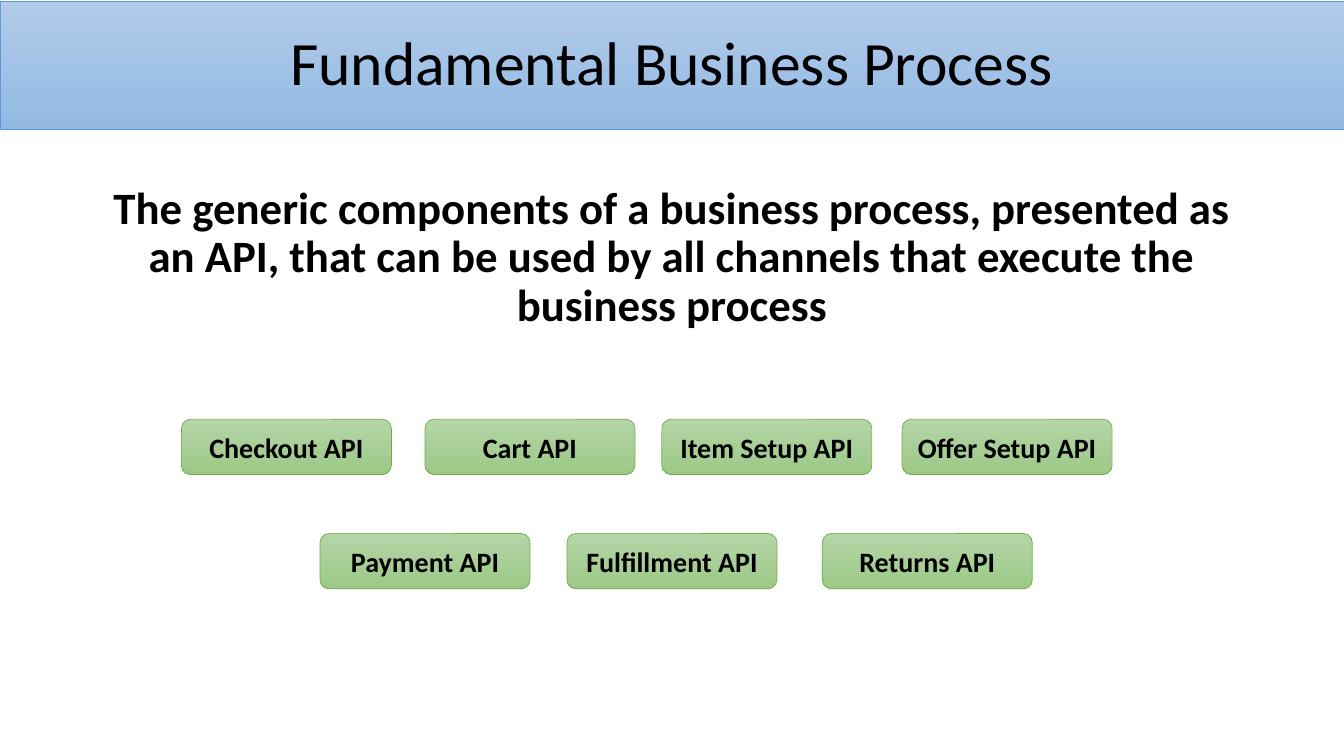
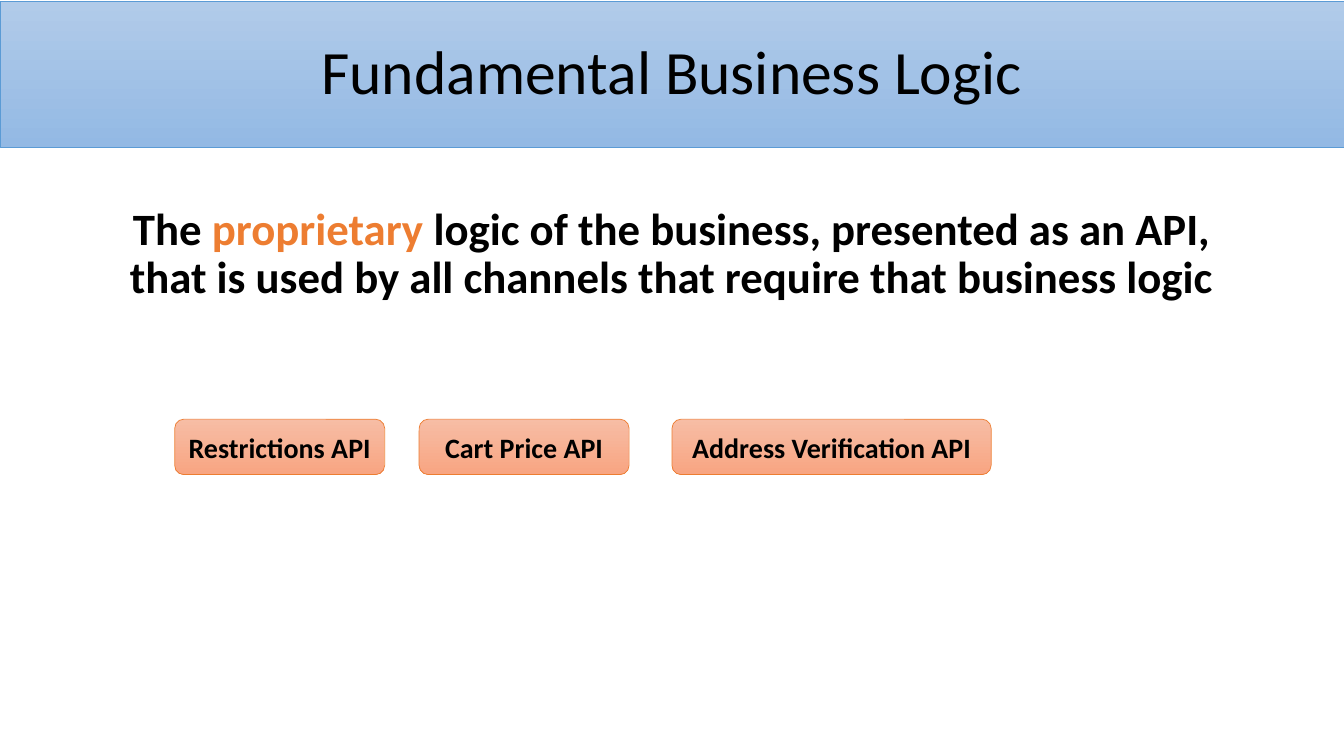
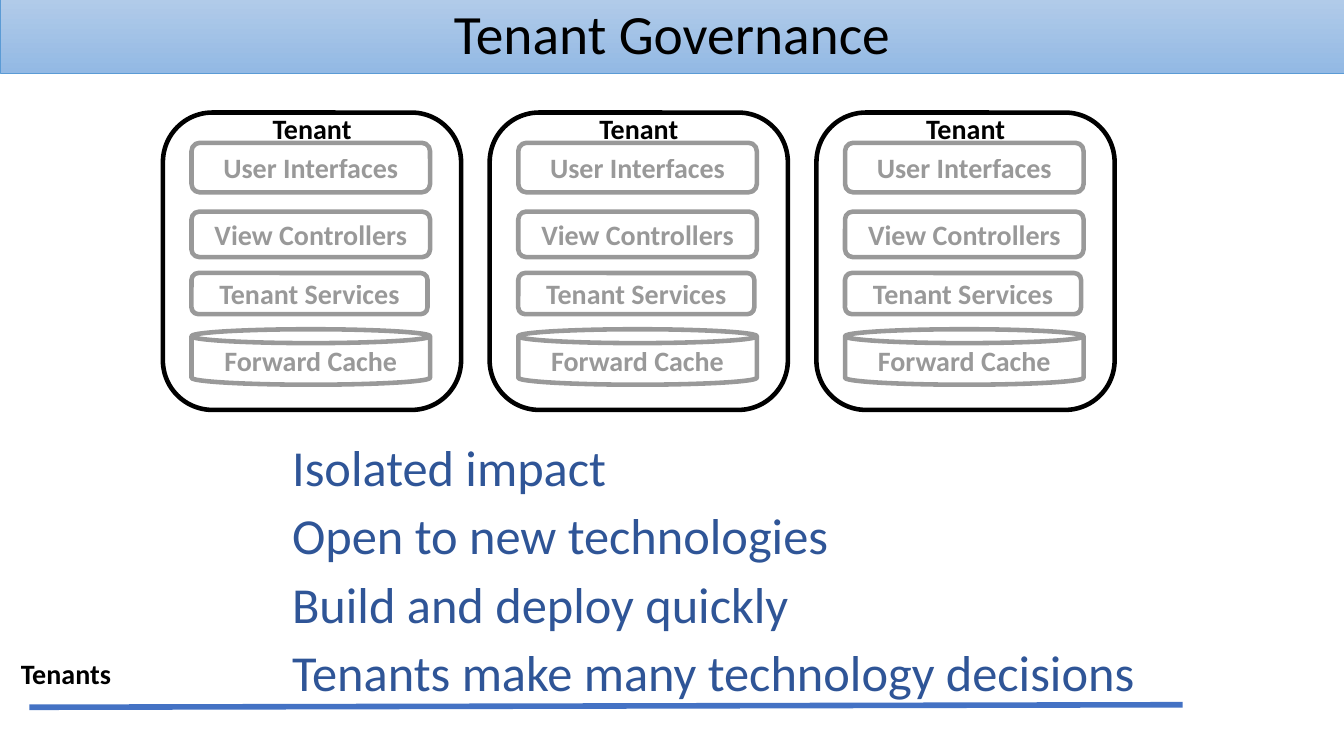
from dataclasses import dataclass

from lxml import etree
from pptx import Presentation
from pptx.dml.color import RGBColor
from pptx.enum.shapes import MSO_CONNECTOR as Connector, MSO_SHAPE as Shape
from pptx.enum.text import MSO_ANCHOR as Anchor, PP_ALIGN as Align
from pptx.oxml.ns import qn
from pptx.util import Emu, Pt


@dataclass(frozen=True)
class Theme:
    font: str = "Calibri"
    black: str = "000000"
    orange: str = "ED7D31"
    rule: str = "4472C4"
    point: str = "2F5597"
    # Top of gradient, bottom of gradient, outline
    blue_box: tuple = ("B1CBE9", "93B9E4", "5B9BD5")
    green_box: tuple = ("B5D5A7", "9CC987", "70AD47")
    orange_box: tuple = ("F7BDA5", "F8A582", "ED7D31")
    title_size: float = 44
    small_title_size: float = 39.6
    point_size: float = 36
    description_size: float = 32
    label_size: float = 20
    thin: float = 0.5
    thick: float = 3.25
    rule_width: float = 4
    faded: int = 40


theme = Theme()

# Grid of square cells
COLUMNS, ROWS = 160, 90
CELL = 76200

presentation = Presentation()
presentation.slide_width = Emu(COLUMNS * CELL)
presentation.slide_height = Emu(ROWS * CELL)
blank_layout = presentation.slide_layouts[6]


def add_box(slide, kind, column, row, columns, rows, colors=None):
    """Add a preset shape, or a text box if kind is None; colors make a gradient."""
    place = [Emu(round(cells * CELL)) for cells in (column, row, columns, rows)]
    if kind is None:
        return slide.shapes.add_textbox(*place)
    shape = slide.shapes.add_shape(kind, *place)
    shape.shadow.inherit = False
    if colors:
        shape.fill.gradient()
        shape.fill.gradient_angle = 270
        for stop, color in zip(shape.fill.gradient_stops, colors):
            stop.color.rgb = RGBColor.from_string(color)
    else:
        shape.fill.background()
    outline = colors[2] if colors else theme.black
    shape.line.color.rgb = RGBColor.from_string(outline)
    shape.line.width = Pt(theme.thin if colors else theme.thick)
    return shape


def write(shape, lines, size, color=theme.black, bold=True, align=Align.CENTER,
          anchor=Anchor.MIDDLE, spacing=1.0, gap=0):
    """Write lines, each a list of text segments, into a shape."""
    frame = shape.text_frame
    frame.word_wrap = True
    frame.vertical_anchor = anchor
    for index, segments in enumerate(lines):
        paragraph = frame.add_paragraph() if index else frame.paragraphs[0]
        paragraph.alignment = align
        paragraph.line_spacing = spacing
        paragraph.space_before = Pt(gap if index else 0)
        for segment in segments:
            run = paragraph.add_run()
            run.text = segment
            run.font.name = theme.font
            run.font.size = Pt(size)
            run.font.bold = bold
            run.font.color.rgb = RGBColor.from_string(color)


# Slides with their title bands: title, size, top row, rows
bands = [
    ("Fundamental Business Process", theme.title_size, 0.2, 15.2),
    ("Fundamental Business Logic", theme.title_size, 0.2, 17.4),
    ("Tenant Governance", theme.small_title_size, -0.1, 8.8),
]
slides = []
for title, size, row, rows in bands:
    slide = presentation.slides.add_slide(blank_layout)
    band = add_box(slide, Shape.RECTANGLE, 0, row, COLUMNS, rows, theme.blue_box)
    write(band, [[title]], size, bold=False, spacing=0.9)
    slides.append(slide)
process_slide, logic_slide, tenant_slide = slides

# Descriptions: slide, top row, rows, segments with every second one accented
descriptions = [
    (process_slide, 21.5, 19, [
        "The generic components of a business process, presented as an API, "
        "that can be used by all channels that execute the business process"]),
    (logic_slide, 24, 13.8, [
        "The ", "proprietary",
        " logic of the business, presented as an API, "
        "that is used by all channels that require that business logic"]),
]
for slide, row, rows, segments in descriptions:
    description = add_box(slide, None, 11, row, COLUMNS - 2 * 11, rows)
    write(description, [segments], theme.description_size, anchor=Anchor.TOP, spacing=0.9)
    for run in description.text_frame.paragraphs[0].runs[1::2]:
        run.font.color.rgb = RGBColor.from_string(theme.orange)

# API boxes: slide, colors, row, then column, columns and label of each
api_rows = [
    (process_slide, theme.green_box, 49.9, [
        (21.6, 25, "Checkout API"), (50.6, 25, "Cart API"),
        (78.8, 25, "Item Setup API"), (107.4, 25, "Offer Setup API")]),
    (process_slide, theme.green_box, 63.5, [
        (38.1, 25, "Payment API"), (67.5, 25, "Fulfillment API"),
        (97.9, 25, "Returns API")]),
    (logic_slide, theme.orange_box, 49.9, [
        (20.8, 25, "Restrictions API"), (49.9, 25, "Cart Price API"),
        (80, 38, "Address Verification API")]),
]
for slide, colors, row, boxes in api_rows:
    for column, columns, label in boxes:
        api_box = add_box(slide, Shape.ROUNDED_RECTANGLE, column, row, columns, 6.6, colors)
        api_box.text_frame.margin_left = api_box.text_frame.margin_right = Pt(4)
        write(api_box, [[label]], theme.label_size)

# Tenants, each a frame with faded parts: kind, top row, columns, rows, label
tenant_parts = [
    (Shape.CAN, 39.2, 28.4, 6.6, "Forward Cache"),
    (Shape.ROUNDED_RECTANGLE, 32.5, 28.1, 4.9, "Tenant Services"),
    (Shape.ROUNDED_RECTANGLE, 25.2, 28.4, 5.4, "View Controllers"),
    (Shape.ROUNDED_RECTANGLE, 17, 28.4, 5.9, "User Interfaces"),
]
for tenant in range(3):
    left = 19.4 + tenant * 38.9
    add_box(tenant_slide, Shape.ROUNDED_RECTANGLE, left, 13.4, 35.5, 35.4)
    tenant_label = add_box(tenant_slide, None, left, 12.7, 35.5, 5.2)
    write(tenant_label, [["Tenant"]], theme.label_size)
    for kind, row, columns, rows, label in tenant_parts:
        part = add_box(tenant_slide, kind, left + 3.4, row, columns, rows)
        write(part, [[label]], theme.label_size)
        for color in part.element.iter(qn("a:srgbClr")):
            etree.SubElement(color, qn("a:alpha")).set("val", str(theme.faded * 1000))

# Rule with its label
rule = tenant_slide.shapes.add_connector(
    Connector.STRAIGHT,
    *(Emu(round(cells * CELL)) for cells in (140.8, 83.9, 3.5, 84.2)))
rule.line.color.rgb = RGBColor.from_string(theme.rule)
rule.line.width = Pt(theme.rule_width)
etree.SubElement(rule.element.spPr, qn("a:effectLst"))
rule_label = add_box(tenant_slide, None, 1.3, 77.6, 13.2, 5.3)
write(rule_label, [["Tenants"]], theme.label_size, align=Align.LEFT, anchor=Anchor.TOP)
rule_label.text_frame.word_wrap = False

# Benefits
benefits = add_box(tenant_slide, None, 33.6, 52.1, 116.9, 32.2)
write(benefits, [
    ["Isolated impact"],
    ["Open to new technologies"],
    ["Build and deploy quickly"],
    ["Tenants make many technology decisions"],
], theme.point_size, theme.point, bold=False, align=Align.LEFT,
    anchor=Anchor.TOP, spacing=0.9, gap=10)

presentation.save("out.pptx")
